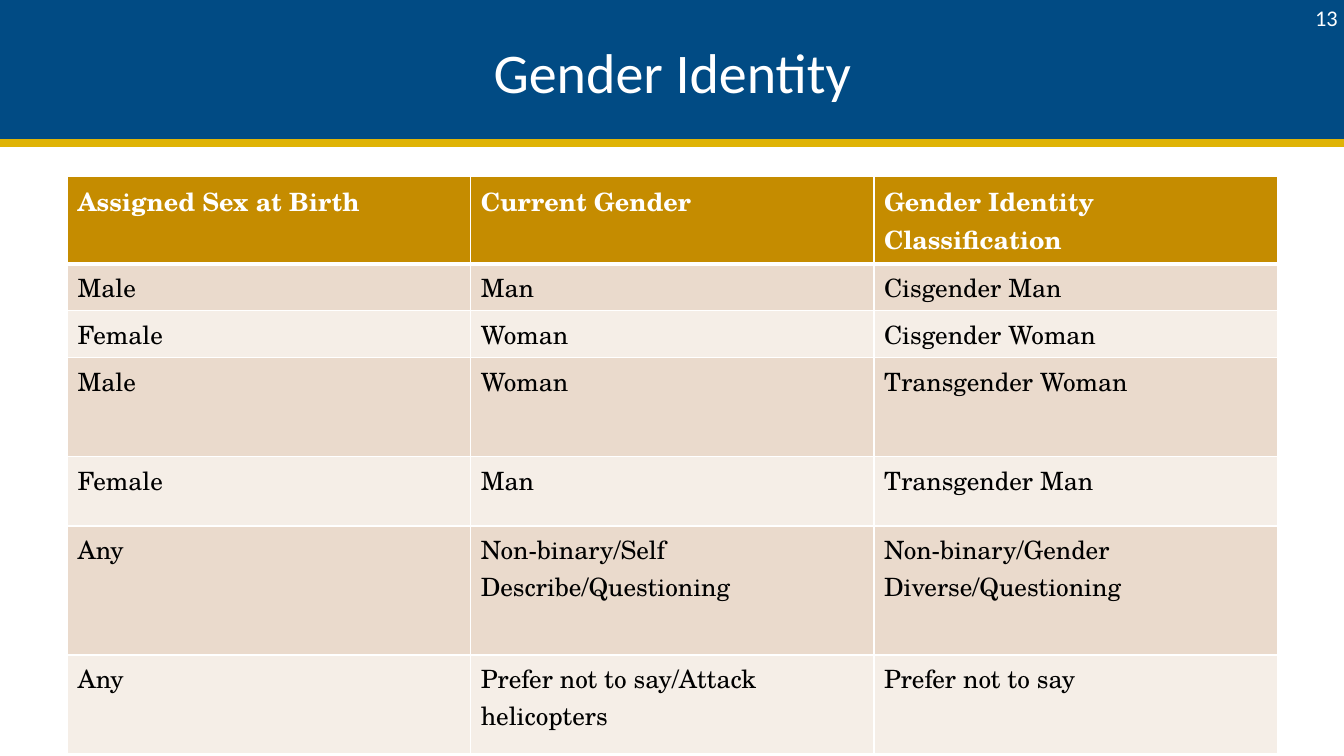
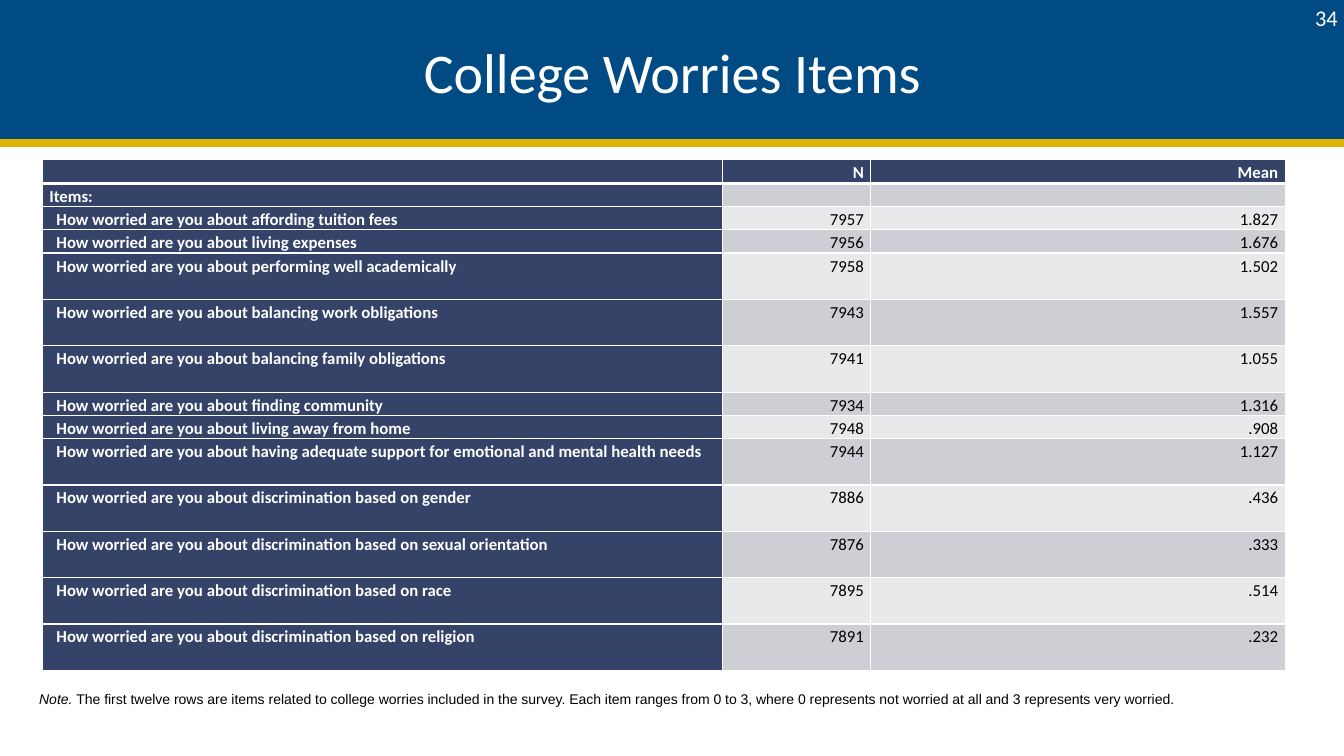
from lxml import etree
from pptx import Presentation
from pptx.dml.color import RGBColor
from pptx.enum.shapes import MSO_CONNECTOR, MSO_SHAPE
from pptx.enum.text import MSO_ANCHOR, PP_ALIGN
from pptx.oxml.ns import qn
from pptx.util import Inches, Pt

LEFT, CENTER, RIGHT = PP_ALIGN.LEFT, PP_ALIGN.CENTER, PP_ALIGN.RIGHT
MIDDLE = MSO_ANCHOR.MIDDLE
RECTANGLE, STRAIGHT = MSO_SHAPE.RECTANGLE, MSO_CONNECTOR.STRAIGHT

WHITE = RGBColor(0xFF, 0xFF, 0xFF)
BLACK = RGBColor(0x00, 0x00, 0x00)
BLUE = RGBColor(0x01, 0x4B, 0x84)
GOLD = RGBColor(0xDF, 0xB3, 0x05)
OCHRE = RGBColor(0xC5, 0x8C, 0x00)
SAND = RGBColor(0xEA, 0xDA, 0xCC)
CREAM = RGBColor(0xF5, 0xEE, 0xE7)
NAVY = RGBColor(0x35, 0x43, 0x69)
GREY = RGBColor(0xCE, 0xCF, 0xD4)
PALE_GREY = RGBColor(0xE8, 0xE9, 0xEB)

TITLE_FONT = {"name": "Calibri", "size": Pt(40)}
NUMBER_FONT = {"name": "Calibri", "size": Pt(16)}
NOTE_FONT = {"name": "Arial", "size": Pt(10)}
GENDER_FONT = {"name": "TeX Gyre Schola", "size": Pt(18)}
WORRY_FONT = {"name": "Calibri", "size": Pt(12)}

GENDER_ROWS = [
    ("Assigned Sex at Birth", "Current Gender", "Gender Identity Classification"),
    ("Male", "Man", "Cisgender Man"),
    ("Female", "Woman", "Cisgender Woman"),
    ("Male", "Woman", "Transgender Woman"),
    ("Female", "Man", "Transgender Man"),
    ("Any", "Non-binary/Self Describe/Questioning",
     "Non-binary/Gender Diverse/Questioning"),
    ("Any", "Prefer not to say/Attack helicopters", "Prefer not to say"),
]
GENDER_HEIGHTS = [0.87, 0.46, 0.47, 0.98, 0.69, 1.28, 0.98]

QUESTION = "How worried are you about "
WORRIES = [
    ("affording tuition fees", "7957", "1.827"),
    ("living expenses", "7956", "1.676"),
    ("performing well academically", "7958", "1.502"),
    ("balancing work obligations", "7943", "1.557"),
    ("balancing family obligations", "7941", "1.055"),
    ("finding community", "7934", "1.316"),
    ("living away from home", "7948", ".908"),
    ("having adequate support for emotional and mental health needs", "7944", "1.127"),
    ("discrimination based on gender", "7886", ".436"),
    ("discrimination based on sexual orientation", "7876", ".333"),
    ("discrimination based on race", "7895", ".514"),
    ("discrimination based on religion", "7891", ".232"),
]
HEAD, SHORT, TALL = 0.24, 0.23, 0.46
WORRY_HEIGHTS = [HEAD] + [SHORT] * 3 + [TALL] * 3 + [SHORT] * 2 + [TALL] * 5
NOTE = ("The first twelve rows are items related to college worries included in the "
        "survey. Each item ranges from 0 to 3, where 0 represents not worried at all "
        "and 3 represents very worried.")


def add_run(paragraph, text, style, color, **extra):
    run = paragraph.add_run()
    run.text = text
    for attribute, value in {**style, **extra}.items():
        setattr(run.font, attribute, value)
    run.font.color.rgb = color


def add_textbox(slide, box, align):
    """Add a middle-anchored, wrapping text box; return its first paragraph."""
    frame = slide.shapes.add_textbox(*map(Inches, box)).text_frame
    frame.word_wrap = True
    frame.vertical_anchor = MIDDLE
    paragraph = frame.paragraphs[0]
    paragraph.alignment = align
    return paragraph


def add_header(slide, title, number):
    """Draw the blue band with its gold rule, the title and the slide number."""
    band = slide.shapes.add_shape(
        RECTANGLE, *map(Inches, (-0.03, 0, 13.4, 1.42)))
    band.shadow.inherit = False
    band.fill.solid()
    band.fill.fore_color.rgb = BLUE
    band.line.color.rgb = BLUE
    band.line.width = Pt(2)
    rule = slide.shapes.add_connector(
        STRAIGHT, *map(Inches, (-0.08, 1.42, 13.41, 1.42)))
    rule.line.color.rgb = GOLD
    rule.line.width = Pt(6)
    etree.SubElement(rule._element.spPr, qn("a:effectLst"))
    add_run(add_textbox(slide, (0.67, 0.08, 12, 1.25), CENTER), title, TITLE_FONT, WHITE)
    add_run(add_textbox(slide, (12.75, 0, 0.62, 0.35), RIGHT), number, NUMBER_FONT, WHITE)


def add_borders(cell, bottom):
    """Give a cell white borders, 1 pt except for the bottom one."""
    properties = cell._tc.get_or_add_tcPr()
    widths = {"a:lnL": 1, "a:lnR": 1, "a:lnT": 1, "a:lnB": bottom}
    for position, (tag, width) in enumerate(widths.items()):
        line = etree.Element(qn(tag), w=str(Pt(width)))
        fill = etree.SubElement(line, qn("a:solidFill"))
        etree.SubElement(fill, qn("a:srgbClr"), val=str(WHITE))
        properties.insert(position, line)


def fill_cell(cell, text, style, fill, heading, bottom):
    cell.fill.solid()
    cell.fill.fore_color.rgb = fill
    add_borders(cell, bottom)
    paragraph = cell.text_frame.paragraphs[0]
    if text:
        add_run(paragraph, text, style, WHITE if heading else BLACK, bold=heading)
    else:
        etree.SubElement(paragraph._p, qn("a:endParaRPr"),
                         sz=str(int(style["size"].pt * 100)))


def add_grid(slide, left, top, widths, heights, rows, style, head_fill, bands,
             heading_column=False):
    """Add a table with a heading row, alternating bands and given row heights."""
    table = slide.shapes.add_table(
        len(rows), len(widths),
        *map(Inches, (left, top, sum(widths), sum(heights)))).table
    table.first_col = heading_column
    for column, width in zip(table.columns, widths):
        column.width = Inches(width)
    for r, (height, texts) in enumerate(zip(heights, rows)):
        table.rows[r].height = Inches(height)
        for c, text in enumerate(texts):
            heading = r == 0 or (heading_column and c == 0)
            fill = head_fill if heading else bands[(r - 1) % 2]
            fill_cell(table.cell(r, c), text, style, fill, heading, 3 if r == 0 else 1)
    return table


def build_gender_slide(slide):
    add_header(slide, "Gender Identity", "13")
    add_grid(slide, 0.67, 1.75, [4, 4, 4], GENDER_HEIGHTS, GENDER_ROWS,
             GENDER_FONT, OCHRE, (SAND, CREAM))


def build_worries_slide(slide):
    add_header(slide, "College Worries Items", "34")
    rows = [("", "N", "Mean"), ("Items:", "", "")]
    rows += [(QUESTION + worry, count, mean) for worry, count, mean in WORRIES]
    table = add_grid(slide, 0.42, 1.58, [6.75, 1.47, 4.11], WORRY_HEIGHTS, rows,
                     WORRY_FONT, NAVY, (GREY, PALE_GREY), heading_column=True)
    for r in range(len(rows)):
        for c in range(3):
            cell = table.cell(r, c)
            cell.margin_left = Inches(0.14 if c == 0 and r > 1 else 0.07)
            cell.margin_right = Inches(0.07)
            cell.margin_top = cell.margin_bottom = 0
            paragraph = cell.text_frame.paragraphs[0]
            paragraph.alignment = RIGHT if c else LEFT
            paragraph.line_spacing = 1.15
    note = add_textbox(slide, (0.29, 6.8, 12.75, 0.27), LEFT)
    add_run(note, "Note. ", NOTE_FONT, BLACK, italic=True)
    add_run(note, NOTE, NOTE_FONT, BLACK)


def main():
    deck = Presentation()
    deck.slide_width, deck.slide_height = Inches(40 / 3), Inches(7.5)
    blank = deck.slide_layouts[6]
    for build in (build_gender_slide, build_worries_slide):
        build(deck.slides.add_slide(blank))
    deck.save("out.pptx")


if __name__ == "__main__":
    main()
